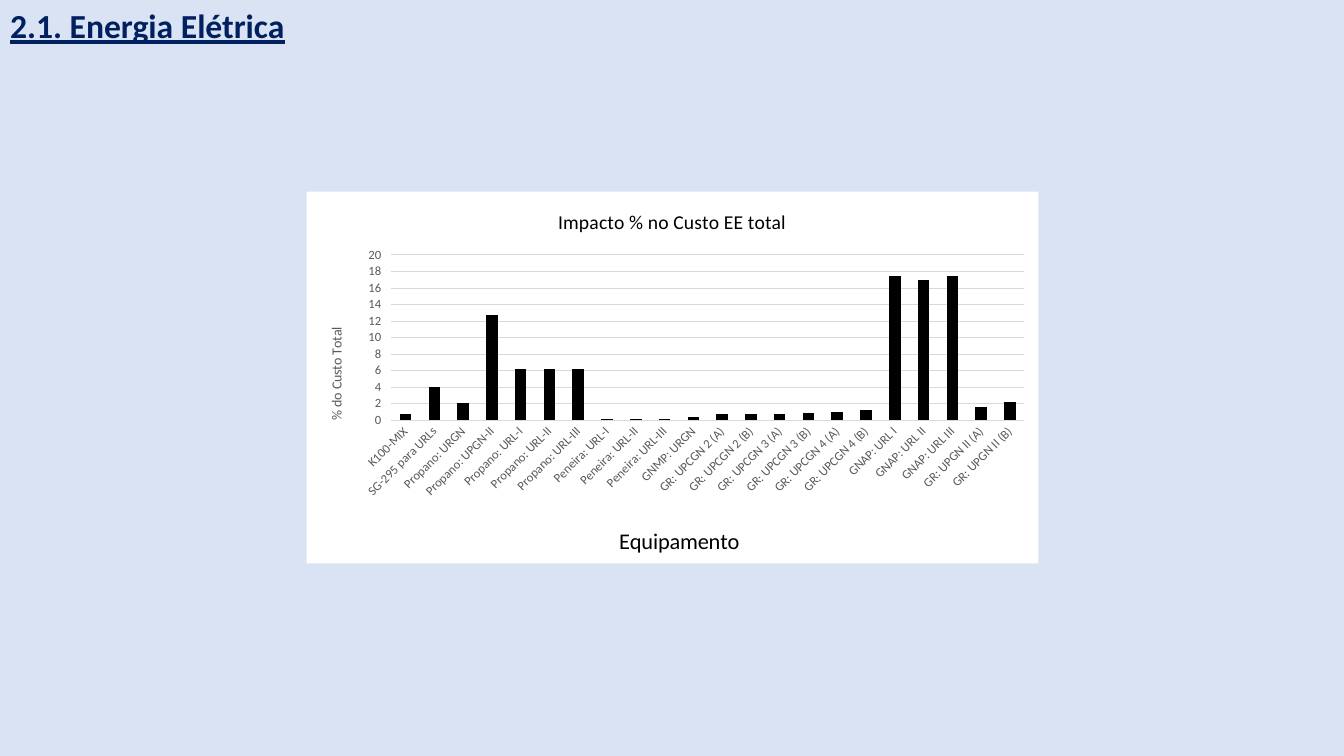
from typing import NamedTuple

from lxml.etree import SubElement
from pptx import Presentation
from pptx.chart.data import CategoryChartData
from pptx.dml.color import RGBColor
from pptx.enum.chart import XL_CHART_TYPE as ChartType, XL_TICK_MARK as TickMark
from pptx.enum.text import MSO_ANCHOR as Anchor, PP_ALIGN as Align
from pptx.oxml import parse_xml
from pptx.oxml.ns import nsdecls, qn
from pptx.util import Inches, Pt

FONT = "Calibri"
BLACK, GRAY, GRID = "000000", "595959", "D9D9D9"
CHART_WIDTH, CHART_HEIGHT = 7.26, 3.69


class Equipment(NamedTuple):
    name: str
    impact: float


class TitleStyle(NamedTuple):
    text: str
    size: float
    color: str
    left: float
    top: float
    rotation: int = 0


EQUIPMENT = [
    Equipment("K100-MIX", 0.7),
    Equipment("SG-295 para URLs", 4),
    Equipment("Propano: URGN", 2.1),
    Equipment("Propano: UPGN-II", 12.7),
    Equipment("Propano: URL-I", 6.2),
    Equipment("Propano: URL-II", 6.2),
    Equipment("Propano: URL-III", 6.2),
    Equipment("Peneira: URL-I", 0.1),
    Equipment("Peneira: URL-II", 0.1),
    Equipment("Peneira: URL-III", 0.1),
    Equipment("GNMP: URGN", 0.4),
    Equipment("GR: UPCGN 2 (A)", 0.8),
    Equipment("GR: UPCGN 2 (B)", 0.7),
    Equipment("GR: UPCGN 3 (A)", 0.8),
    Equipment("GR: UPCGN 3 (B)", 0.9),
    Equipment("GR: UPCGN 4 (A)", 1),
    Equipment("GR: UPCGN 4 (B)", 1.2),
    Equipment("GNAP: URL I", 17.4),
    Equipment("GNAP: URL II", 17),
    Equipment("GNAP: URL III", 17.4),
    Equipment("GR: UPGN II (A)", 1.6),
    Equipment("GR: UPGN II (B)", 2.2),
]
CHART_TITLE = TitleStyle("Impacto % no Custo EE total", 14, BLACK, 2.46, 0.13)
CATEGORY_TITLE = TitleStyle("Equipamento", 16, BLACK, 3.06, 3.28)
VALUE_TITLE = TitleStyle("% do Custo Total", 10, GRAY, 0.18, 1.32, -90)


def rgb(color: str) -> RGBColor:
    return RGBColor.from_string(color)


def style_font(font, size: float, color: str, bold: bool = False) -> None:
    font.name = FONT
    font.size = Pt(size)
    font.bold = bold
    font.color.rgb = rgb(color)


def set_layout(element, index: int, left: float, top: float, **sizes: float) -> None:
    for old_layout in element.findall(qn("c:layout")):
        element.remove(old_layout)
    layout = parse_xml(f"<c:layout {nsdecls('c')}><c:manualLayout/></c:layout>")
    settings = {"layoutTarget": "inner"} if sizes else {}
    settings |= {"xMode": "edge", "yMode": "edge"}
    for name, length in {"x": left, "y": top, **sizes}.items():
        settings[name] = length / (CHART_WIDTH if name in "xw" else CHART_HEIGHT)
    for name, value in settings.items():
        SubElement(layout[0], qn(f"c:{name}")).set("val", str(value))
    element.insert(index, layout)


def add_title(owner, style: TitleStyle) -> None:
    owner.has_title = True
    title = owner.chart_title if hasattr(owner, "chart_title") else owner.axis_title
    title.text_frame.text = style.text
    style_font(title.text_frame.paragraphs[0].font, style.size, style.color)
    body = title._element.find(".//" + qn("a:bodyPr"))
    body.set("rot", str(style.rotation * 60000))
    set_layout(title._element, 1, style.left, style.top)


def add_impact_chart(slide) -> None:
    data = CategoryChartData()
    data.categories = [item.name for item in EQUIPMENT]
    data.add_series("Series 1", [item.impact for item in EQUIPMENT])
    chart = slide.shapes.add_chart(
        ChartType.COLUMN_CLUSTERED,
        Inches(3.04), Inches(1.9), Inches(CHART_WIDTH), Inches(CHART_HEIGHT), data,
    ).chart
    style_font(chart.font, 10, BLACK)
    chart.has_legend = False
    add_title(chart, CHART_TITLE)

    plot = chart.plots[0]
    plot.gap_width = 150
    plot.vary_by_categories = False
    fill = plot.series[0].format.fill
    fill.solid()
    fill.fore_color.rgb = rgb(BLACK)

    category_axis, value_axis = chart.category_axis, chart.value_axis
    for axis, style in ((category_axis, CATEGORY_TITLE), (value_axis, VALUE_TITLE)):
        add_title(axis, style)
        style_font(axis.tick_labels.font, 9, GRAY)
    category_axis.major_tick_mark = TickMark.NONE
    labels = category_axis._element.find(qn("c:txPr")).find(qn("a:bodyPr"))
    labels.set("rot", str(-45 * 60000))
    value_axis.major_tick_mark = TickMark.OUTSIDE
    value_axis.minimum_scale, value_axis.maximum_scale = 0, 20
    value_axis.major_unit = 2
    value_axis.format.line.fill.background()
    for line in (category_axis.format.line, value_axis.major_gridlines.format.line):
        line.color.rgb = rgb(GRID)
        line.width = Pt(0.75)

    chart_element = chart._chartSpace.find(qn("c:chart"))
    set_layout(chart_element.find(qn("c:plotArea")), 0, 0.84, 0.63, w=6.28, h=1.64)
    chart_element.addnext(parse_xml(
        f"<c:spPr {nsdecls('c', 'a')}>"
        '<a:solidFill><a:srgbClr val="FFFFFF"/></a:solidFill>'
        "<a:ln><a:noFill/></a:ln></c:spPr>"
    ))


def add_heading(slide) -> None:
    heading = slide.shapes.title
    heading.left, heading.top = Inches(0), Inches(0)
    heading.width, heading.height = Inches(9.09), Inches(0.5)
    frame = heading.text_frame
    frame.text = "2.1. Energia Elétrica"
    frame.word_wrap = True
    frame.vertical_anchor = Anchor.TOP
    frame.margin_left = frame.margin_right = Inches(0.1)
    frame.margin_top = frame.margin_bottom = Inches(0.05)
    paragraph = frame.paragraphs[0]
    paragraph.alignment = Align.LEFT
    style_font(paragraph.font, 24, "002060", bold=True)
    paragraph.font.underline = True


def main() -> None:
    presentation = Presentation()
    presentation.slide_width = Inches(13.33)
    presentation.slide_height = Inches(7.5)
    slide = presentation.slides.add_slide(presentation.slide_layouts[5])
    background = slide.background.fill
    background.solid()
    background.fore_color.rgb = rgb("DAE3F3")
    add_heading(slide)
    add_impact_chart(slide)
    presentation.save("out.pptx")


if __name__ == "__main__":
    main()
